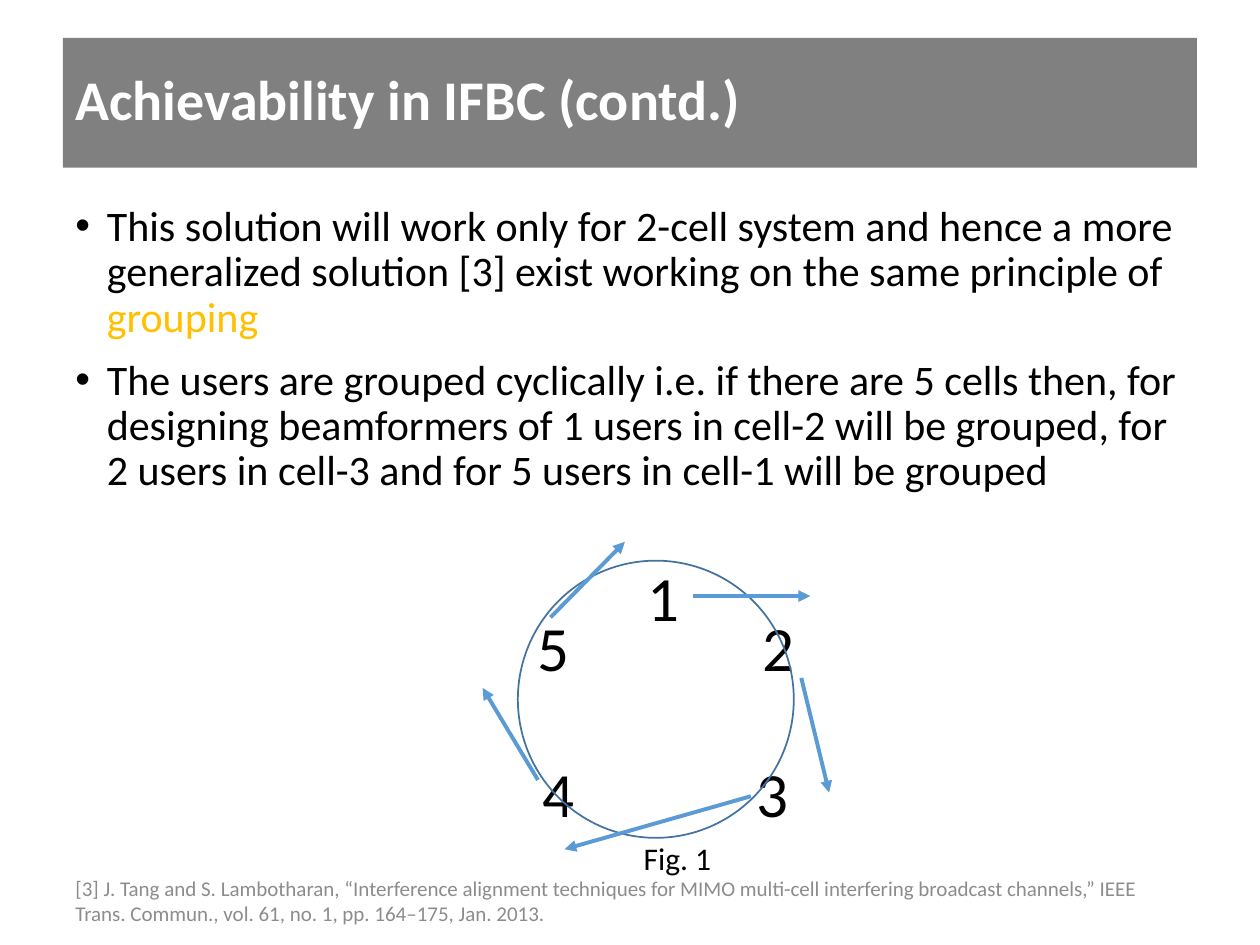
from dataclasses import dataclass

from lxml.etree import SubElement as Sub
from pptx import Presentation
from pptx.dml.color import RGBColor as Rgb
from pptx.enum.shapes import MSO_CONNECTOR as Conn, MSO_SHAPE as Kind
from pptx.enum.text import MSO_ANCHOR as Anchor
from pptx.oxml.ns import qn
from pptx.util import Pt


@dataclass(frozen=True)
class Theme:
    font: str = "Calibri"
    white: str = "FFFFFF"
    ink: str = "000000"
    band: str = "808080"
    gold: str = "FFC000"
    note: str = "8C8C8C"
    ring: str = "43739E"
    arrow: str = "5B9BD5"
    title: int = 32
    body: int = 24
    cell: int = 36
    label: int = 18
    cite: int = 12


@dataclass(frozen=True)
class Box:
    left: float
    top: float
    width: float
    height: float

    def spot(self) -> tuple:
        return Pt(self.left), Pt(self.top), Pt(self.width), Pt(self.height)


@dataclass(frozen=True)
class Cell:
    name: str
    left: float
    top: float
    start: tuple[float, float]
    end: tuple[float, float]


THEME = Theme()
EDGE, WIDE = 36, 648

# Cells in order, each with the arrow that leads on from it
CELLS = [
    Cell("1", 362.9, 315.4, (396, 340.6), (463, 340.6)),
    Cell("2", 428.4, 344.2, (457.9, 387.4), (473.8, 452.9)),
    Cell("3", 425.5, 427.7, (429.1, 455), (322.6, 485.3)),
    Cell("4", 303.1, 427.7, (307.4, 445.7), (275.8, 393.1)),
    Cell("5", 300.2, 344.2, (314.6, 352.8), (357.1, 309.6)),
]

# Each bullet is a list of (text, colour) runs
POINTS = [
    [("This solution will work only for 2-cell system and hence a more "
      "generalized solution [3] exist working on the same principle of ",
      THEME.ink), ("grouping", THEME.gold)],
    [("The users are grouped cyclically i.e. if there are 5 cells then, for "
      "designing beamformers of 1 users in cell-2 will be grouped, for 2 users "
      "in cell-3 and for 5 users in cell-1 will be grouped", THEME.ink)],
]
CITE = ("[3] J. Tang and S. Lambotharan, “Interference alignment techniques for "
        "MIMO multi-cell interfering broadcast channels,” IEEE Trans. Commun., "
        "vol. 61, no. 1, pp. 164–175, Jan. 2013.")


def style(font, size: int, color: str, bold: bool = False) -> None:
    font.name = THEME.font
    font.size = Pt(size)
    font.bold = bold
    font.color.rgb = Rgb.from_string(color)


def add_text(slide, box: Box, text: str, size: int, color: str,
             wrap: bool = True, anchor=Anchor.TOP) -> None:
    frame = slide.shapes.add_textbox(*box.spot()).text_frame
    frame.word_wrap = wrap
    frame.vertical_anchor = anchor
    frame.text = text
    style(frame.paragraphs[0].runs[0].font, size, color)


def add_title(slide, text: str) -> None:
    band = slide.shapes.add_shape(Kind.RECTANGLE, *Box(EDGE, 21.6, WIDE, 74.2).spot())
    band.shadow.inherit = False
    band.fill.solid()
    band.fill.fore_color.rgb = Rgb.from_string(THEME.band)
    band.line.fill.background()
    frame = band.text_frame
    frame.word_wrap = True
    frame.vertical_anchor = Anchor.MIDDLE
    frame.text = text
    para = frame.paragraphs[0]
    para.alignment = 1
    para.line_spacing = 0.9
    style(para.runs[0].font, THEME.title, THEME.white, True)


def add_points(slide, box: Box, points: list) -> None:
    frame = slide.shapes.add_textbox(*box.spot()).text_frame
    frame.word_wrap = True
    for i, runs in enumerate(points):
        para = frame.add_paragraph() if i else frame.paragraphs[0]
        props = para._p.get_or_add_pPr()
        props.set("marL", str(Pt(18)))
        props.set("indent", str(-Pt(18)))
        Sub(Sub(props, qn("a:buClr")), qn("a:srgbClr"), val=THEME.ink)
        Sub(props, qn("a:buFont"), typeface="Arial")
        Sub(props, qn("a:buChar"), char="•")
        para.line_spacing = 0.9
        para.space_before = Pt(10 if i else 0)
        for text, color in runs:
            run = para.add_run()
            run.text = text
            style(run.font, THEME.body, color)


def add_ring(slide, box: Box) -> None:
    ring = slide.shapes.add_shape(Kind.OVAL, *box.spot())
    ring.shadow.inherit = False
    ring.fill.background()
    ring.line.color.rgb = Rgb.from_string(THEME.ring)
    ring.line.width = Pt(1)


def add_arrow(slide, cell: Cell) -> None:
    ends = [Pt(v) for v in cell.start + cell.end]
    arrow = slide.shapes.add_connector(Conn.STRAIGHT, *ends)
    arrow.line.color.rgb = Rgb.from_string(THEME.arrow)
    arrow.line.width = Pt(2.25)
    Sub(arrow.line._get_or_add_ln(), qn("a:tailEnd"), type="triangle")
    Sub(arrow._element.spPr, qn("a:effectLst"))


def main() -> None:
    deck = Presentation()
    deck.slide_width, deck.slide_height = Pt(720), Pt(540)
    slide = deck.slides.add_slide(deck.slide_layouts[6])

    # Title, bullets and reference
    add_title(slide, "Achievability in IFBC (contd.)")
    add_points(slide, Box(EDGE, 113.8, WIDE, 391.7), POINTS)
    add_text(slide, Box(EDGE, 500.4, WIDE, 28.8), CITE, THEME.cite, THEME.note,
             anchor=Anchor.MIDDLE)

    # Cyclic grouping figure
    for cell in CELLS:
        add_text(slide, Box(cell.left, cell.top, 33.1, 51.1), cell.name,
                 THEME.cell, THEME.ink, wrap=False)
    add_ring(slide, Box(295.9, 320.4, 157.7, 158.4))
    for cell in CELLS:
        add_arrow(slide, cell)
    add_text(slide, Box(360.7, 475.9, 85.7, 28.8), "Fig. 1", THEME.label, THEME.ink)

    deck.save("out.pptx")


if __name__ == "__main__":
    main()
